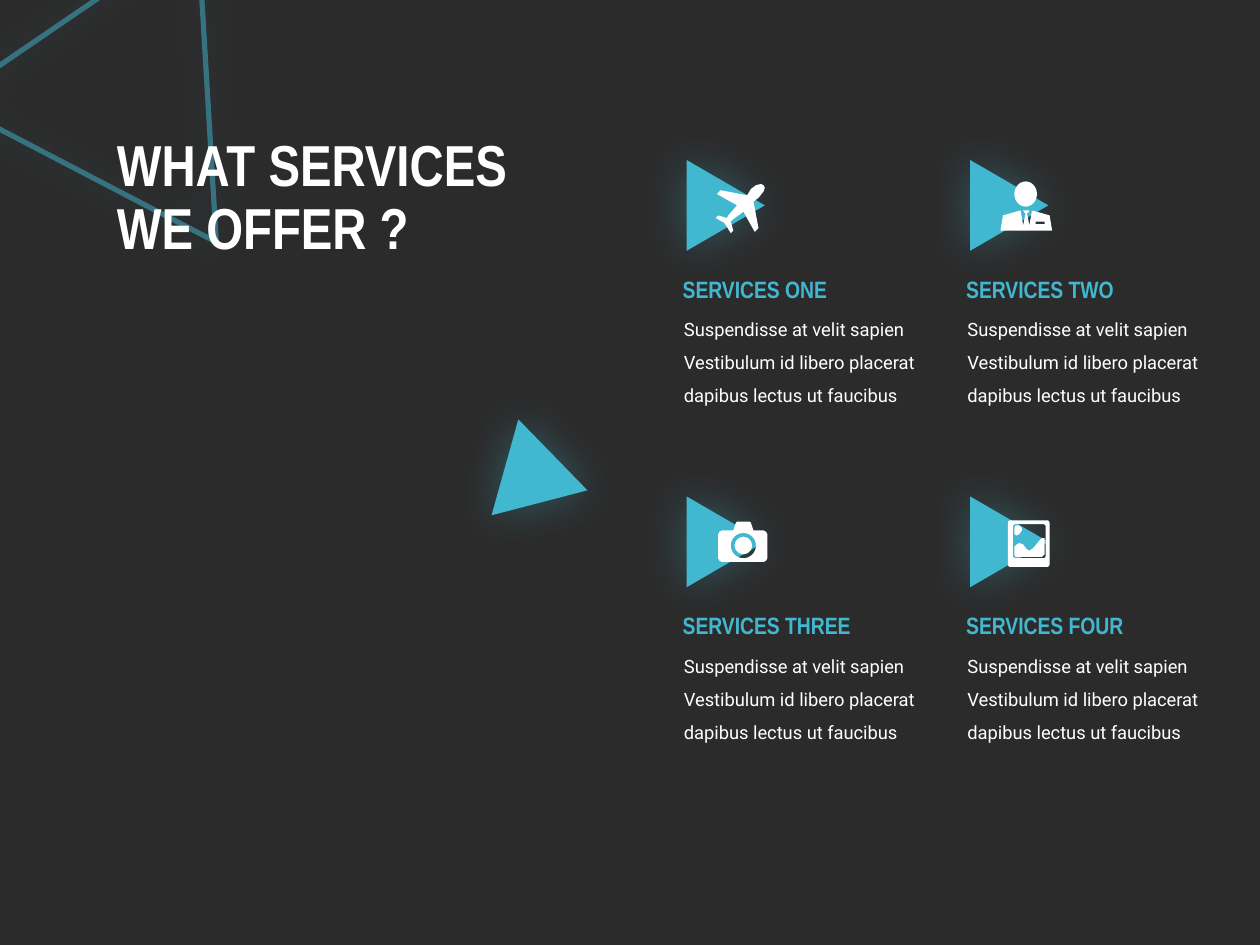
from dataclasses import dataclass
from math import cos, pi, sin

from lxml.etree import SubElement
from pptx import Presentation
from pptx.dml.color import RGBColor
from pptx.enum.shapes import MSO_SHAPE as Preset
from pptx.enum.text import MSO_ANCHOR as Anchor, MSO_AUTO_SIZE as AutoSize
from pptx.oxml.ns import qn
from pptx.util import Inches, Pt

Point = tuple[float, float]
Box = tuple[float, float, float, float]

DARK, ACCENT, WHITE = "2B2B2B", "41B7D0", "FFFFFF"
TITLE_FONT = {"name": "Arial Narrow", "size": Pt(33), "bold": True}
HEADING_FONT = {"name": "Arial Narrow", "size": Pt(13.5), "bold": True}
BODY_FONT = {"name": "Roboto", "size": Pt(10.5)}
BODY = "Suspendisse at velit sapien Vestibulum id libero placerat dapibus lectus ut faucibus"
SERVICES = ("SERVICES ONE", "SERVICES TWO", "SERVICES THREE", "SERVICES FOUR")
CARD_LEFT, CARD_TOP, COLUMN_STEP, ROW_STEP = 5.32, 1.32, 2.25, 2.67


@dataclass(frozen=True)
class Icon:
    """White pictogram made of outlines, each a list of contours, and ellipses."""
    outlines: tuple[tuple[list[Point], ...], ...]
    ellipses: tuple[Box, ...] = ()


def circle(x: float, y: float, radius: float, steps: int = 48) -> list[Point]:
    """Return the points of a circle."""
    angles = [2 * pi * step / steps for step in range(steps)]
    return [(x + radius * cos(angle), y + radius * sin(angle)) for angle in angles]


def rounded(left: float, top: float, right: float, bottom: float, cut: float) -> list[Point]:
    """Return the points of a rectangle with softened corners."""
    corners = ((right - cut, bottom - cut), (left + cut, bottom - cut),
               (left + cut, top + cut), (right - cut, top + cut))
    return [(x + cut * cos((quarter + part / 4) * pi / 2),
             y + cut * sin((quarter + part / 4) * pi / 2))
            for quarter, (x, y) in enumerate(corners) for part in range(5)]


PLANE = Icon((([
    (6.06, 1.47), (6.04, 1.46), (6, 1.47), (5.96, 1.5), (5.93, 1.55), (5.72, 1.51),
    (5.69, 1.54), (5.85, 1.63), (5.78, 1.71), (5.77, 1.73), (5.7, 1.71), (5.68, 1.73),
    (5.75, 1.77), (5.8, 1.85), (5.82, 1.83), (5.8, 1.76), (5.82, 1.74), (5.9, 1.68),
    (5.99, 1.84), (6.02, 1.81), (5.98, 1.6), (6.02, 1.57), (6.06, 1.52), (6.07, 1.49)],),))
PERSON = Icon((([
    (8.33, 1.71), (8.19, 1.67), (8.17, 1.79), (8.15, 1.69), (8.16, 1.69), (8.17, 1.67),
    (8.12, 1.67), (8.13, 1.69), (8.14, 1.69), (8.12, 1.79), (8.1, 1.67), (7.96, 1.71),
    (7.94, 1.83), (8.35, 1.83)],
    [(8.29, 1.78), (8.22, 1.78), (8.22, 1.76), (8.29, 1.76)]),), ((8.05, 1.44, 0.18, 0.2),))
CAMERA = Icon((([
    (6.06, 4.21), (5.98, 4.21), (5.96, 4.15), (5.95, 4.14), (5.85, 4.14), (5.84, 4.15),
    (5.82, 4.21), (5.73, 4.21), (5.71, 4.22), (5.7, 4.24), (5.7, 4.43), (5.71, 4.45),
    (5.73, 4.46), (6.06, 4.46), (6.08, 4.45), (6.09, 4.43), (6.09, 4.24), (6.08, 4.22)],
    circle(5.9, 4.33, 0.1)),), ((5.83, 4.26, 0.14, 0.14),))
PHOTO = Icon((
    ([(8.29, 4.27), (8.27, 4.27), (8.25, 4.29), (8.2, 4.35), (8.17, 4.37), (8.15, 4.36),
      (8.12, 4.32), (8.09, 4.31), (8.07, 4.32), (8.05, 4.34), (8.05, 4.4), (8.06, 4.42),
      (8.27, 4.42), (8.29, 4.4)],),
    ([(8.11, 4.21), (8.11, 4.19), (8.09, 4.17), (8.06, 4.17), (8.05, 4.19), (8.05, 4.24),
      (8.07, 4.25), (8.09, 4.24)],),
    (rounded(8, 4.13, 8.33, 4.5, 0.02), rounded(8.04, 4.16, 8.3, 4.43, 0.02))))


def color(value: str) -> RGBColor:
    """Turn a hex string into a colour."""
    return RGBColor.from_string(value)


def paint(shape, fill: str) -> None:
    """Give a shape a plain fill without line or shadow."""
    shape.shadow.inherit = False
    shape.fill.solid()
    shape.fill.fore_color.rgb = color(fill)
    shape.line.fill.background()


def add_alpha(color_element, percent: int) -> None:
    """Set the opacity of a colour element."""
    SubElement(color_element, qn("a:alpha"), val=str(percent * 1000))


def add_triangle(slide, box: Box, rotation: float, outlined: bool = False) -> None:
    """Draw a glowing triangle, filled or outlined."""
    shape = slide.shapes.add_shape(Preset.ISOSCELES_TRIANGLE, *map(Inches, box))
    shape.rotation = rotation
    paint(shape, ACCENT)
    if outlined:
        shape.fill.background()
        shape.line.color.rgb = color(ACCENT)
        shape.line.width = Pt(3)
        add_alpha(shape.line.fill._xPr.find(".//" + qn("a:srgbClr")), 50)
    effects = shape._element.spPr.find(qn("a:effectLst"))
    glow = SubElement(effects, qn("a:outerShdw"), blurRad=str(Pt(25)), dist="0", dir="0",
                      algn="ctr", rotWithShape="0")
    add_alpha(SubElement(glow, qn("a:srgbClr"), val=ACCENT), 35)


def add_text(slide, box: Box, text: str, font: dict, fill: str,
             spacing: float = 1.0, centered: bool = False) -> None:
    """Add a wrapped text box with one paragraph."""
    frame = slide.shapes.add_textbox(*map(Inches, box)).text_frame
    frame.word_wrap = True
    frame.auto_size = AutoSize.NONE if centered else AutoSize.SHAPE_TO_FIT_TEXT
    frame.vertical_anchor = Anchor.MIDDLE if centered else Anchor.TOP
    paragraph = frame.paragraphs[0]
    paragraph.text = text
    paragraph.line_spacing = spacing
    for run in paragraph.runs:
        for name, value in font.items():
            setattr(run.font, name, value)
        run.font.color.rgb = color(fill)


def add_icon(slide, icon: Icon) -> None:
    """Draw the parts of an icon as one group."""
    group = slide.shapes.add_group_shape()
    for contours in icon.outlines:
        builder = None
        for contour in contours:
            start, *others = [(Inches(x), Inches(y)) for x, y in contour]
            if builder is None:
                builder = group.shapes.build_freeform(*start)
            else:
                builder.move_to(*start)
            builder.add_line_segments(others, close=True)
        paint(builder.convert_to_shape(), WHITE)
    for box in icon.ellipses:
        paint(group.shapes.add_shape(Preset.OVAL, *map(Inches, box)), WHITE)


def add_service(slide, index: int, name: str) -> None:
    """Draw one service in its cell of the two by two grid."""
    row, column = divmod(index, 2)
    left, top = CARD_LEFT + column * COLUMN_STEP, CARD_TOP + row * ROW_STEP
    add_triangle(slide, (left + 0.08, top, 0.72, 0.62), 90)
    add_text(slide, (left + 0.01, top + 1.07, 2.11, 0.87), BODY, BODY_FONT, WHITE, 1.5)
    add_text(slide, (left, top + 0.81, 1.84, 0.33), name, HEADING_FONT, ACCENT)


def main() -> None:
    """Build the services slide."""
    presentation = Presentation()
    presentation.slide_width, presentation.slide_height = Inches(10), Inches(7.5)
    slide = presentation.slides.add_slide(presentation.slide_layouts[6])
    slide.background.fill.solid()
    slide.background.fill.fore_color.rgb = color(DARK)
    add_triangle(slide, (-0.63, -0.29, 2.48, 2.07), 266.6, outlined=True)
    add_text(slide, (0.83, 0.79, 4.22, 1.58), "WHAT SERVICES\vWE OFFER ?",
             TITLE_FONT, WHITE, 0.9, centered=True)
    for index, name in enumerate(SERVICES):
        add_service(slide, index, name)
    for icon in (PLANE, PERSON, CAMERA, PHOTO):
        add_icon(slide, icon)
    add_triangle(slide, (3.94, 3.46, 0.79, 0.68), 105.6)
    presentation.save("out.pptx")


if __name__ == "__main__":
    main()
